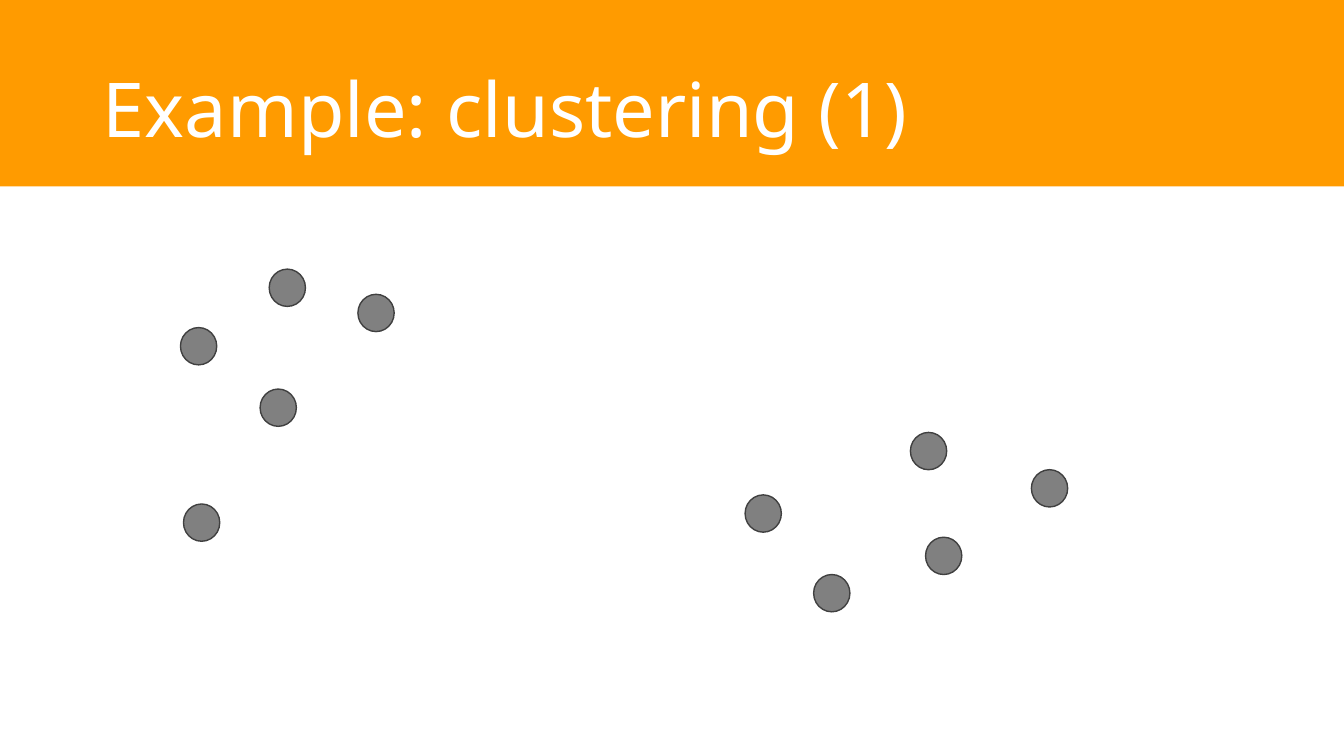
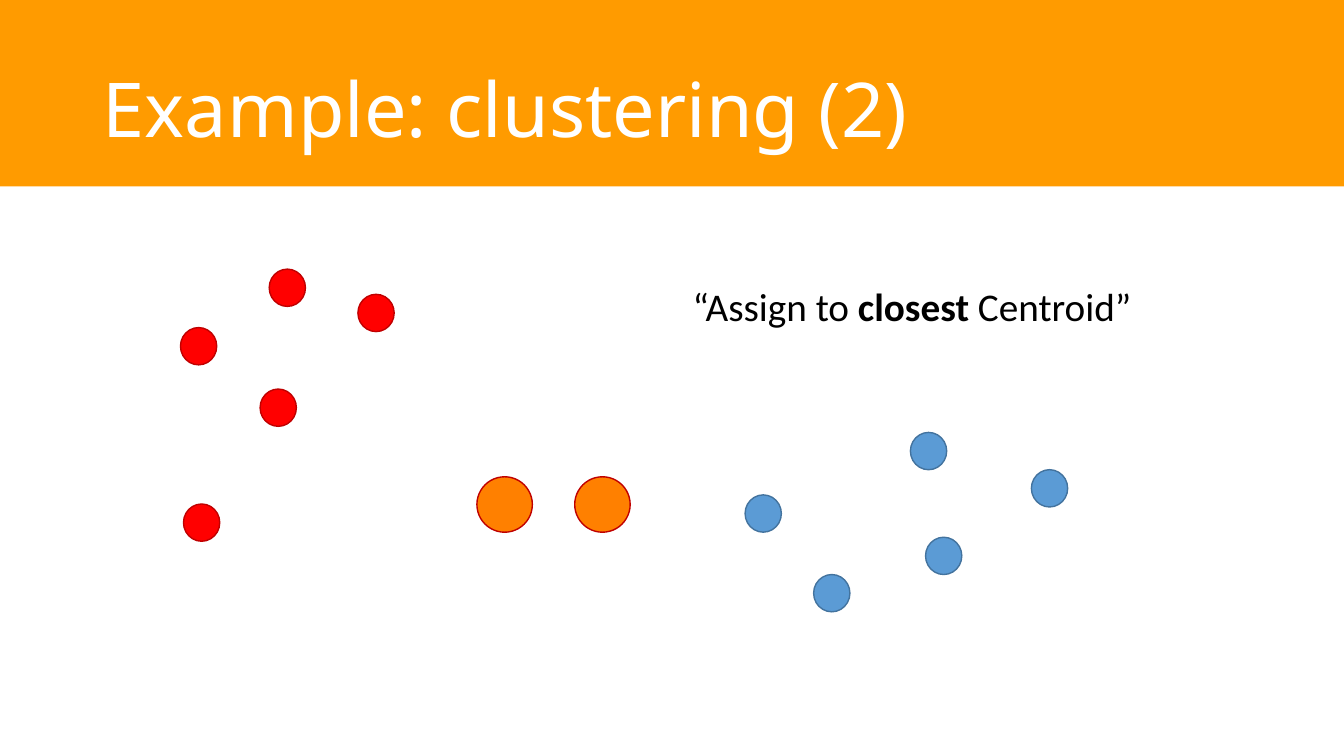
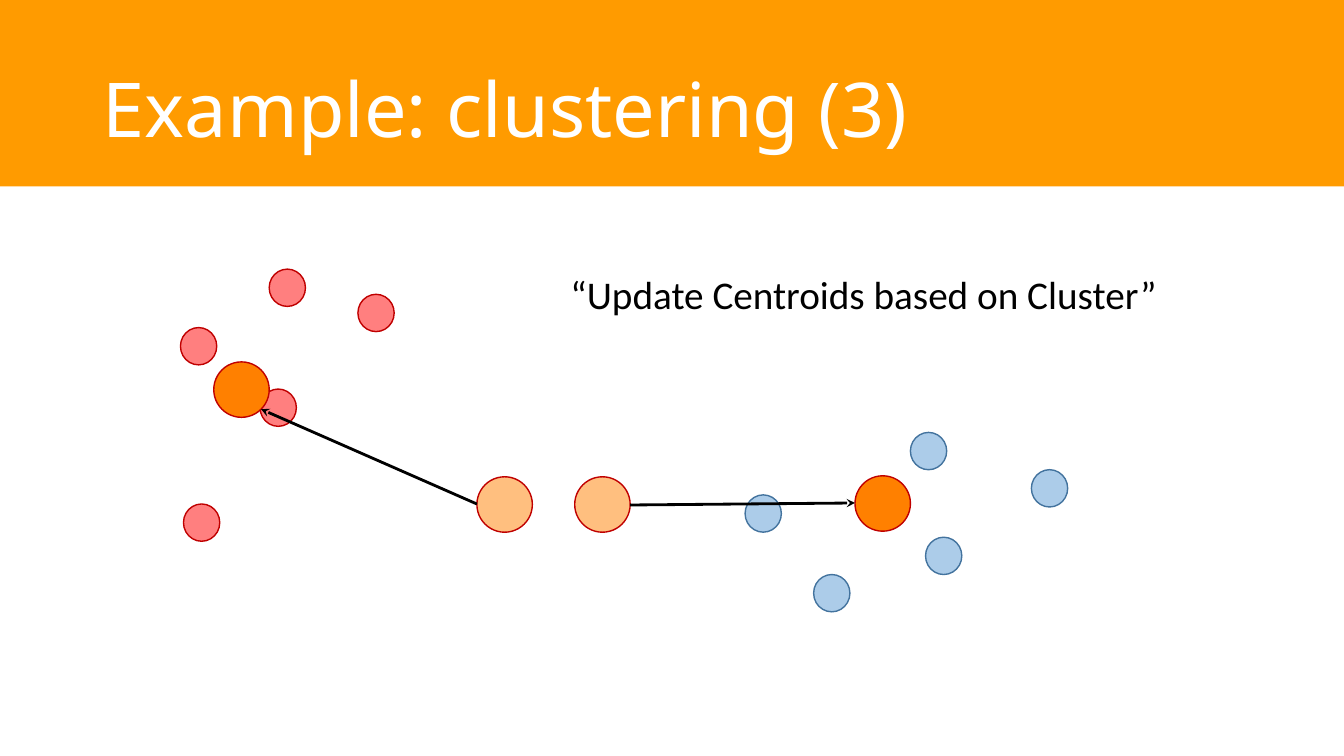
from lxml.etree import SubElement
from pptx import Presentation
from pptx.dml.color import RGBColor
from pptx.enum.shapes import MSO_CONNECTOR, MSO_SHAPE
from pptx.enum.text import MSO_ANCHOR, MSO_AUTO_SIZE, PP_ALIGN
from pptx.oxml.ns import qn
from pptx.util import Inches, Pt

WIDE, HIGH = 13.33, 7.5
BAND = (0, 0, WIDE, 1.85)
TITLE = (0.92, 0.4, 11.5, 1.45)
ORANGE, WHITE, BLACK = "FF9B00", "FFFFFF", "000000"

# Fill and outline of each kind of circle
GRAY = ("808080", "404040")
RED = ("FF0000", "C00000")
BLUE = ("5B9BD5", "43739E")
CENTER = ("FF8000", "C00000")

# Left and top of each circle
LEFT = [(1.82, 5), (2.67, 2.67), (1.79, 3.25), (3.55, 2.92), (2.58, 3.86)]
RIGHT = [(7.39, 4.91), (9.18, 5.33), (9.03, 4.29), (10.23, 4.66), (8.07, 5.7)]
START = [(4.73, 4.73), (5.7, 4.73)]
MOVED = [(2.12, 3.59), (8.48, 4.72)]
POINT, CENTROID = (0.36, 0.37), (0.55, 0.55)

# Circle groups are (places, size, colours, opacity in percent);
# note text is a list of (words, bold)
SLIDES = [
    {"title": "Example: clustering (1)",
     "groups": [(LEFT + RIGHT, POINT, GRAY, 100)]},
    {"title": "Example: clustering (2)",
     "groups": [(LEFT, POINT, RED, 100), (RIGHT, POINT, BLUE, 100),
                (START, CENTROID, CENTER, 100)],
     "note": ((6.77, 2.75, 4.58, 0.57),
              [("“Assign to ", False), ("closest", True),
               (" Centroid”", False)])},
    {"title": "Example: clustering (3)",
     "groups": [(LEFT, POINT, RED, 50), (RIGHT, POINT, BLUE, 50),
                (START, CENTROID, CENTER, 50),
                (MOVED, CENTROID, CENTER, 100)],
     "note": ((5.56, 2.63, 6.08, 0.57),
              [("“Update Centroids based on Cluster”", False)]),
     "arrows": [((4.73, 5), (2.59, 4.06)), ((6.25, 5.01), (8.48, 4.99))]},
]


def color(code):
    """Turn a hex string into a colour."""
    return RGBColor.from_string(code)


def inches(values):
    """Turn plain numbers into lengths."""
    return [Inches(value) for value in values]


def write(frame, parts, size, font, code, space=None):
    """Write (words, bold) parts as one paragraph."""
    para = frame.paragraphs[0]
    para.alignment = PP_ALIGN.LEFT
    para.line_spacing = space
    for words, bold in parts:
        run = para.add_run()
        run.text = words
        run.font.name, run.font.size = font, Pt(size)
        run.font.bold = bold
        run.font.color.rgb = color(code)


def draw(slide, kind, box, fill, line=None, alpha=100):
    """Add a filled shape, with an outline if a line colour is given."""
    shape = slide.shapes.add_shape(kind, *inches(box))
    shape.shadow.inherit = False
    shape.fill.solid()
    shape.fill.fore_color.rgb = color(fill)
    if alpha < 100:
        tint = shape._element.spPr.find(qn("a:solidFill"))[0]
        SubElement(tint, qn("a:alpha"), val=str(alpha * 1000))
    if line:
        shape.line.color.rgb = color(line)
        shape.line.width = Pt(1)
    else:
        shape.line.fill.background()
    return shape


def arrow(slide, start, end):
    """Add a black line with a stealth head at its end."""
    line = slide.shapes.add_connector(
        MSO_CONNECTOR.STRAIGHT, *inches(start + end))
    line.line.color.rgb = color(BLACK)
    line.line.width = Pt(2)
    SubElement(line.line._get_or_add_ln(), qn("a:tailEnd"), type="stealth")
    SubElement(line._element.spPr, qn("a:effectLst"))


def note(slide, box, parts):
    """Add a caption that stays on one line."""
    frame = slide.shapes.add_textbox(*inches(box)).text_frame
    frame.word_wrap = False
    frame.auto_size = MSO_AUTO_SIZE.SHAPE_TO_FIT_TEXT
    write(frame, parts, 28, "Calibri", BLACK)


def head(slide, words):
    """Fill and format the title placeholder."""
    title = slide.shapes.title
    title.left, title.top, title.width, title.height = inches(TITLE)
    frame = title.text_frame
    frame.auto_size = MSO_AUTO_SIZE.NONE
    frame.vertical_anchor = MSO_ANCHOR.MIDDLE
    write(frame, [(words, False)], 54, "Noto Sans", WHITE, space=0.9)


def build(deck, layout, data):
    """Add one slide from its content."""
    slide = deck.slides.add_slide(layout)
    head(slide, data["title"])
    for places, size, (fill, line), alpha in data["groups"]:
        for place in places:
            draw(slide, MSO_SHAPE.OVAL, place + size, fill, line, alpha)
    if "note" in data:
        note(slide, *data["note"])
    for start, end in data.get("arrows", []):
        arrow(slide, start, end)
    return slide


def main():
    """Build the deck, with the band placed on the shared layout."""
    deck = Presentation()
    deck.slide_width, deck.slide_height = inches((WIDE, HIGH))
    layout = deck.slide_layouts.get_by_name("Title Only")
    slides = [build(deck, layout, data) for data in SLIDES]
    band = draw(slides[0], MSO_SHAPE.RECTANGLE, BAND, ORANGE)
    layout.shapes._spTree.insert(2, band._element)
    deck.save("out.pptx")


main()
